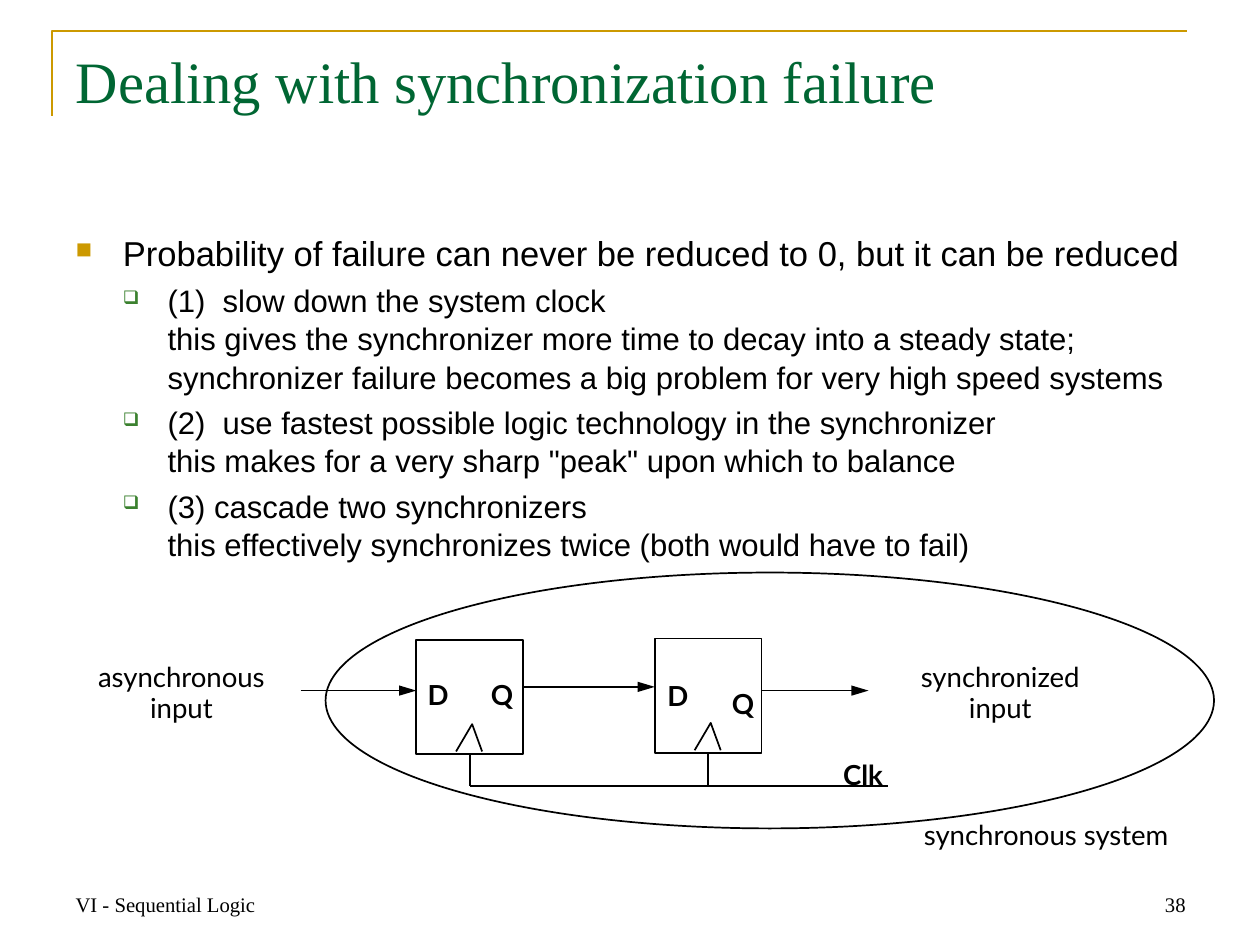
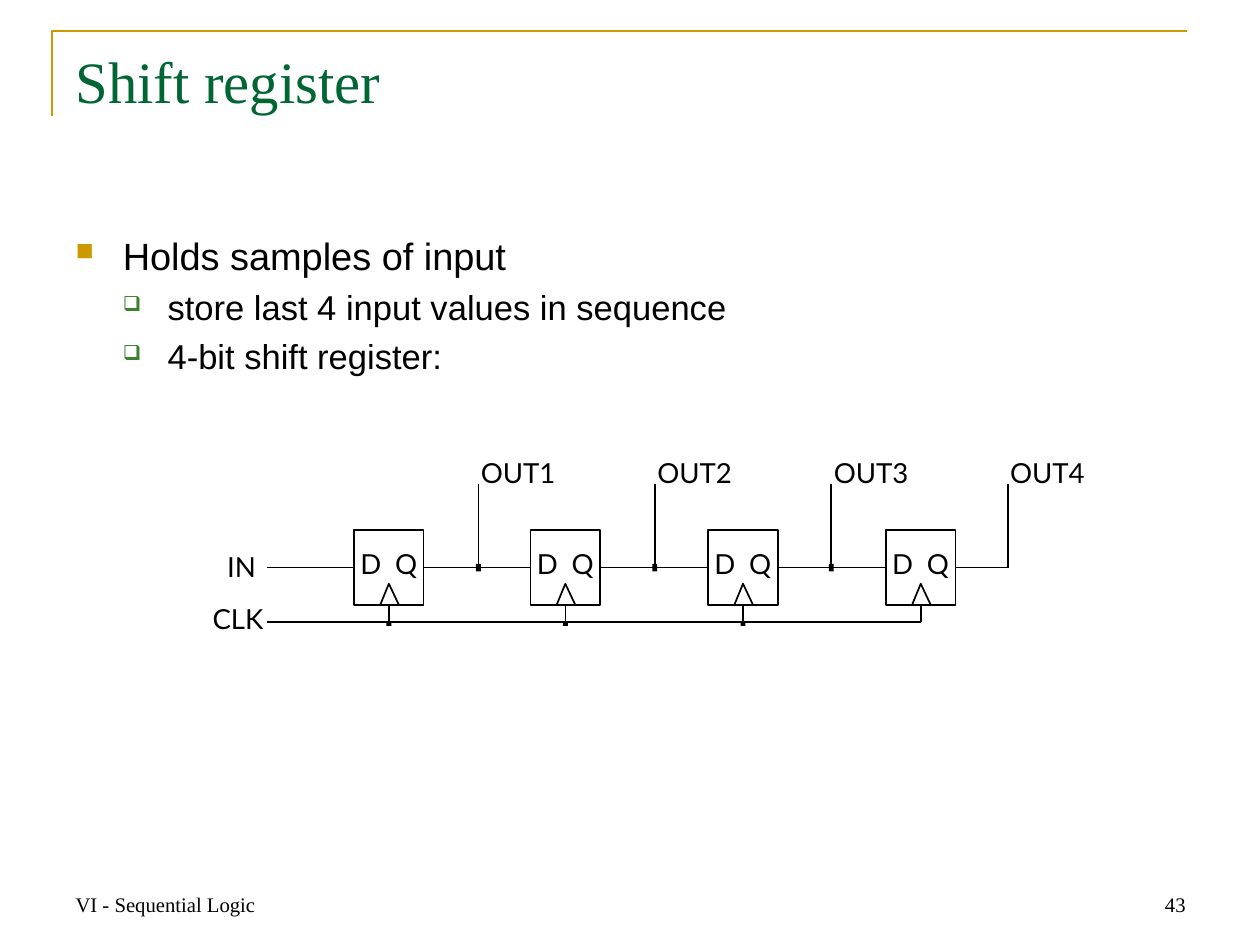
"""Build two slides on synchronizers and shift registers."""
from dataclasses import dataclass
from typing import Optional

from lxml import etree
from pptx import Presentation
from pptx import util as u
from pptx.dml.color import RGBColor
from pptx.enum import shapes, text
from pptx.oxml.ns import qn

PX = 9144
BLACK = RGBColor(0x00, 0x00, 0x00)
WHITE = RGBColor(0xFF, 0xFF, 0xFF)
GOLD = RGBColor(0xCC, 0x99, 0x00)
GREEN = RGBColor(0x00, 0x66, 0x33)
LEAF = RGBColor(0x3B, 0x81, 0x2F)
SERIF, SANS, LABEL = "Times New Roman", "Arial", "Lato"
LEFT, MID, RIGHT = text.PP_ALIGN.LEFT, text.PP_ALIGN.CENTER, text.PP_ALIGN.RIGHT
RECT, OVAL = shapes.MSO_SHAPE.RECTANGLE, shapes.MSO_SHAPE.OVAL
Point = tuple[int, int]


@dataclass
class Label:
    x: int
    y: int
    w: int
    h: int
    text: str
    lead: int
    align: text.PP_ALIGN = MID
    bold: bool = False


@dataclass
class Item:
    text: str
    size: int
    level: int = 1


@dataclass
class Bullet:
    mark: str
    color: RGBColor
    scale: int
    left: int
    hang: int


BULLETS = [Bullet("■", GOLD, 65, 38, 38), Bullet("❑", LEAF, 60, 74, 36)]


def style(para, font: str, size: int, color: RGBColor = BLACK, bold: bool = False) -> None:
    for run in para.runs:
        run.font.name, run.font.size = font, u.Pt(size)
        run.font.color.rgb, run.font.bold = color, bold


def add_box(slide, x: int, y: int, w: int, h: int):
    return slide.shapes.add_textbox(x * PX, y * PX, w * PX, h * PX)


def add_label(slide, label: Label) -> None:
    frame = add_box(slide, label.x, label.y, label.w, label.h).text_frame
    frame.margin_left = frame.margin_right = 2 * PX
    frame.margin_top = frame.margin_bottom = 3 * PX
    frame.text = label.text
    for para in frame.paragraphs:
        para.alignment, para.line_spacing = label.align, u.Pt(label.lead)
        style(para, LABEL, 16, bold=label.bold)


def add_block(slide, x: int, y: int, w: int, h: int, fill: Optional[RGBColor] = None,
              kind=RECT, edge: bool = True):
    block = slide.shapes.add_shape(kind, x * PX, y * PX, w * PX, h * PX)
    block.shadow.inherit = False
    if fill is None:
        block.fill.background()
    else:
        block.fill.solid()
        block.fill.fore_color.rgb = fill
    if edge:
        block.line.color.rgb, block.line.width = BLACK, u.Pt(1)
    else:
        block.line.fill.background()
    return block


def add_path(slide, points: list[Point], color: RGBColor = BLACK, width: float = 1) -> None:
    maker = slide.shapes.build_freeform(*points[0], scale=PX)
    maker.add_line_segments(points[1:], close=False)
    path = maker.convert_to_shape()
    path.shadow.inherit = False
    path.fill.background()
    path.line.color.rgb, path.line.width = color, u.Pt(width)


def add_wire(slide, start: Point, end: Point, arrow: bool = False):
    ends = [n * PX for n in start + end]
    wire = slide.shapes.add_connector(shapes.MSO_CONNECTOR.STRAIGHT, *ends)
    wire.line.color.rgb, wire.line.width = BLACK, u.Pt(1)
    props = wire._element.spPr
    etree.SubElement(props, qn("a:effectLst"))
    if arrow:
        etree.SubElement(props.find(qn("a:ln")), qn("a:tailEnd"), type="triangle", w="med", len="lg")
    return wire


def add_body(slide, items: list[Item]) -> None:
    frame = add_box(slide, 51, 181, 912, 498).text_frame
    frame.word_wrap = True
    for i, item in enumerate(items):
        para = frame.paragraphs[0] if i == 0 else frame.add_paragraph()
        para.text, para.level = item.text, item.level
        bullet = BULLETS[item.level]
        props = para._p.get_or_add_pPr()
        props.set("marL", str(bullet.left * PX))
        props.set("indent", str(-bullet.hang * PX))
        tint = etree.SubElement(props, qn("a:buClr"))
        etree.SubElement(tint, qn("a:srgbClr"), val=str(bullet.color))
        etree.SubElement(props, qn("a:buSzPct"), val=str(bullet.scale * 1000))
        etree.SubElement(props, qn("a:buChar"), char=bullet.mark)
        para.line_spacing = 1.03
        para.space_before = u.Pt(4 if i else 0)
        style(para, SANS, item.size)


def add_slide(deck, title: str, number: str, items: list[Item]):
    slide = deck.slides.add_slide(deck.slide_layouts[5])
    add_path(slide, [(42, 93), (42, 25), (955, 25)], GOLD, 1.5)
    head = slide.shapes.title
    head.left, head.top, head.width, head.height = (n * PX for n in (51, 31, 912, 126))
    frame = head.text_frame
    frame.text = title
    frame.vertical_anchor = text.MSO_ANCHOR.TOP
    frame.auto_size = text.MSO_AUTO_SIZE.NONE
    frame.paragraphs[0].alignment = LEFT
    style(frame.paragraphs[0], SERIF, 34, GREEN)
    for x, words, align in ((51, "VI - Sequential Logic", LEFT), (727, number, RIGHT)):
        frame = add_box(slide, x, 692, 237, 51).text_frame
        frame.word_wrap = True
        frame.vertical_anchor = text.MSO_ANCHOR.BOTTOM
        frame.text = words
        frame.paragraphs[0].alignment = align
        style(frame.paragraphs[0], SERIF, 12)
    add_body(slide, items)
    return slide


def add_clock(slide, block, start: Point, base: int) -> None:
    """Drop a wire from the middle of a block's bottom to the clock line."""
    add_wire(slide, start, (start[0], base)).begin_connect(block, 2)


def draw_sync(deck) -> None:
    slide = add_slide(deck, "Dealing with synchronization failure", "38", [
        Item("Probability of failure can never be reduced to 0, but it can be reduced", 20, 0),
        Item("(1)  slow down the system clock\v"
             "this gives the synchronizer more time to decay into a steady state;\v"
             "synchronizer failure becomes a big problem for very high speed systems", 18),
        Item("(2)  use fastest possible logic technology in the synchronizer\v"
             "this makes for a very sharp \"peak\" upon which to balance", 18),
        Item("(3) cascade two synchronizers\v"
             "this effectively synchronizes twice (both would have to fail)", 18),
    ])
    for x, y in ((335, 515), (527, 514)):
        base = y + 92
        block = add_block(slide, x, y, 86, 92)
        add_path(slide, [(x + 32, base - 2), (x + 45, base - 24), (x + 53, base - 2)])
        add_clock(slide, block, (x + 43, base), 633)
    add_wire(slide, (378, 633), (715, 633))
    for left, right, y in ((242, 335, 556), (421, 527, 553), (613, 699, 556)):
        add_wire(slide, (left, y), (right, y), arrow=True)
    add_block(slide, 262, 461, 715, 206, kind=OVAL)
    for label in (
        Label(335, 540, 35, 43, "D", 21, bold=True),
        Label(528, 541, 35, 43, "D", 21, bold=True),
        Label(385, 540, 38, 43, "Q", 21, bold=True),
        Label(543, 527, 110, 64, "Q", 36, bold=True),
        Label(650, 584, 89, 67, "Clk", 36, bold=True),
        Label(50, 530, 192, 64, "asynchronous\ninput", 18),
        Label(714, 530, 182, 64, "synchronized\ninput", 18),
        Label(705, 653, 274, 43, "synchronous system", 21),
    ):
        add_label(slide, label)


def draw_shift(deck) -> None:
    slide = add_slide(deck, "Shift register", "43", [
        Item("Holds samples of input", 22, 0),
        Item("store last 4 input values in sequence", 20),
        Item("4-bit shift register:", 20),
    ])
    top, wide, high, count = 427, 56, 60, 4
    row, base, clock = top + high // 2, top + high, 501
    lefts = [285 + 428 * i // 3 for i in range(count)]
    taps = [385 + 142 * i for i in range(count)]
    blocks = [add_block(slide, x, top, wide, high, WHITE) for x in lefts]
    add_wire(slide, (215, row), (lefts[0], row)).end_connect(blocks[0], 1)
    add_wire(slide, (215, clock), (lefts[-1] + wide // 2, clock))
    for i, (x, tap, block) in enumerate(zip(lefts, taps, blocks)):
        mid, last = x + wide // 2, i == count - 1
        add_path(slide, [(x + 21, base), (x + 28, base - 17), (x + 36, base)])
        add_label(slide, Label(x + 3, 440, 27, 38, "D", 17, LEFT))
        add_label(slide, Label(x + 31, 440, 27, 38, "Q", 17, LEFT))
        add_clock(slide, block, (mid, base), clock)
        wire = add_wire(slide, (x + wide, row), (tap if last else lefts[i + 1], row))
        wire.begin_connect(block, 3)
        if not last:
            wire.end_connect(blocks[i + 1], 1)
            add_block(slide, tap - 2, row - 3, 4, 6, BLACK, edge=False)
            add_block(slide, mid - 2, clock - 1, 4, 4, BLACK, edge=False)
        add_wire(slide, (tap, 390), (tap, row))
        add_label(slide, Label(tap, 367, 79, 38, f"OUT{i + 1}", 17, LEFT))
    add_label(slide, Label(150, 443, 58, 38, "IN", 17, RIGHT))
    add_label(slide, Label(158, 485, 56, 38, "CLK", 17, RIGHT))


def main() -> None:
    deck = Presentation()
    deck.slide_width, deck.slide_height = 1014 * PX, 760 * PX
    draw_sync(deck)
    draw_shift(deck)
    deck.save("out.pptx")


if __name__ == "__main__":
    main()
